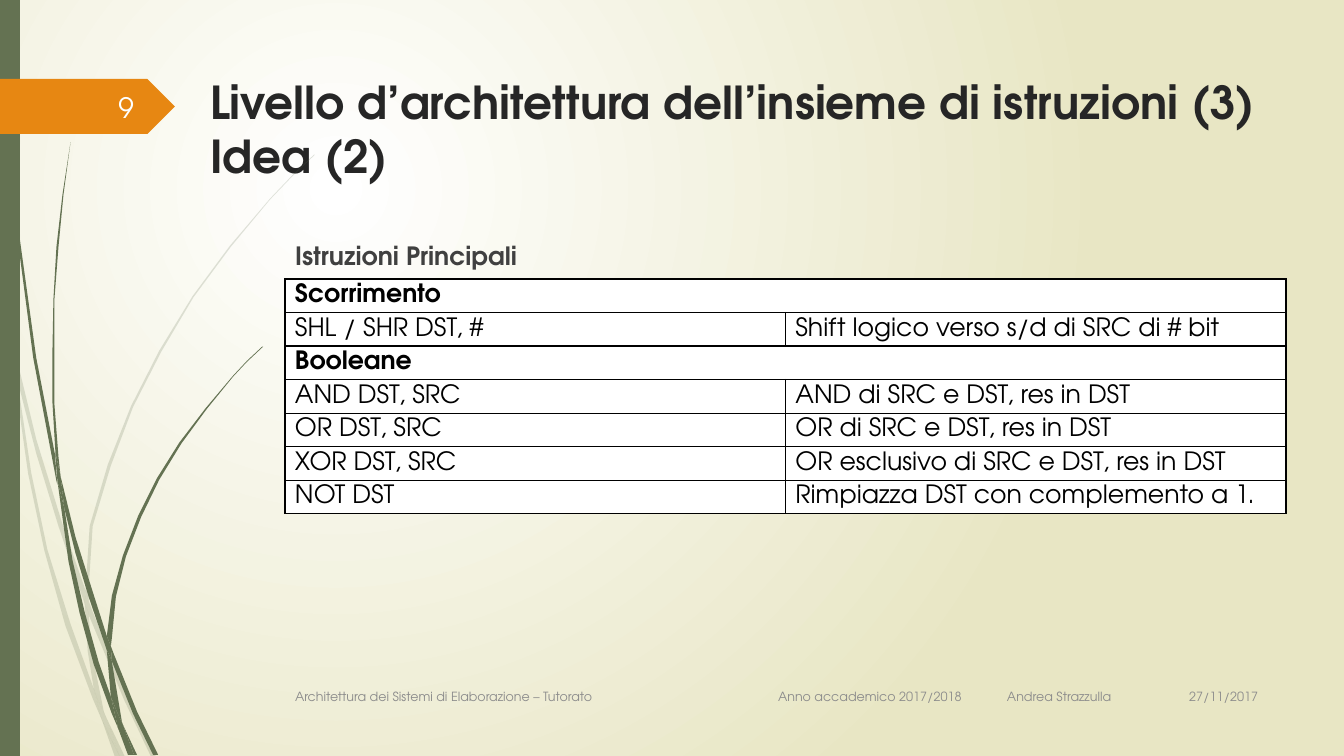
from lxml import etree
from pptx import Presentation
from pptx.dml.color import RGBColor
from pptx.enum.shapes import MSO_SHAPE
from pptx.enum.text import MSO_ANCHOR, MSO_AUTO_SIZE, PP_ALIGN
from pptx.oxml.ns import qn
from pptx.util import Pt

EMU_PER_INCH = 914400
PX_PER_INCH = 100.8
BLADE_UNIT = PX_PER_INCH / 100
FONT = "TeX Gyre Adventor"
GREEN, ORANGE, GREY = "647252", "E78712", "8C8C8C"
RECTANGLE, PENTAGON = MSO_SHAPE.RECTANGLE, MSO_SHAPE.PENTAGON
TOP, MIDDLE = MSO_ANCHOR.TOP, MSO_ANCHOR.MIDDLE
LEFT, RIGHT = PP_ALIGN.LEFT, PP_ALIGN.RIGHT
NO_AUTOSIZE = MSO_AUTO_SIZE.NONE

PALE_BLADES = [
    [(11, 350), (9, 322), (0, 282), (0, 299), (10, 344)],
    [(58, 522), (84, 599), (85, 586), (62, 520), (36, 436), (14, 345), (17, 376), (36, 450)],
    [(92, 607), (88, 596), (88, 610), (123, 694), (150, 751), (155, 751), (127, 692)],
    [(119, 751), (124, 751), (105, 711)],
    [(93, 683), (70, 619), (47, 545), (31, 469), (17, 376), (11, 350), (28, 470),
     (44, 546), (65, 621), (92, 693), (101, 714), (99, 707)],
    [(84, 599), (87, 646), (93, 683), (96, 692), (105, 711), (103, 706), (91, 646),
     (88, 610), (88, 608)],
    [(88, 584), (92, 522), (110, 462), (132, 404), (160, 349), (192, 295), (229, 245),
     (268, 198), (290, 175), (312, 154), (312, 153), (289, 175), (268, 197), (228, 244),
     (191, 294), (158, 348), (130, 403), (107, 461), (89, 522), (85, 584), (85, 586),
     (88, 596)],
    [(101, 714), (114, 751), (119, 751)],
    [(88, 608), (88, 610), (88, 596), (85, 586), (84, 599)],
    [(96, 692), (93, 683), (99, 707), (101, 714), (119, 751), (105, 711)],
]
DARK_BLADES = [
    [(7, 110), (17, 233), (33, 355), (56, 477), (57, 481), (55, 457), (55, 453),
     (36, 355), (19, 232), (8, 109), (5, 48), (4, 0), (3, 0), (4, 48)],
    [(88, 592), (106, 645), (106, 633), (106, 631), (93, 590), (75, 533), (60, 472),
     (64, 505), (75, 549)],
    [(113, 649), (110, 641), (111, 656), (132, 708), (152, 749), (157, 749), (136, 706)],
    [(110, 691), (98, 657), (84, 607), (72, 556), (64, 505), (57, 477), (68, 557),
     (79, 608), (93, 659), (111, 708), (117, 722), (116, 717)],
    [(60, 472), (58, 453), (54, 401), (54, 349), (54, 297), (58, 245), (63, 193),
     (70, 141), (62, 193), (56, 245), (53, 297), (52, 349), (52, 399), (55, 449)],
    [(133, 749), (136, 749), (122, 719)],
    [(57, 477), (64, 505), (60, 472), (55, 449), (55, 453)],
    [(111, 633), (115, 592), (125, 552), (140, 513), (158, 476), (180, 440), (205, 406),
     (231, 374), (245, 359), (261, 344), (260, 344), (245, 358), (231, 373), (204, 405),
     (178, 439), (156, 474), (137, 512), (122, 551), (111, 591), (106, 631), (110, 641)],
    [(117, 722), (127, 749), (131, 749)],
    [(106, 645), (110, 691), (116, 706), (122, 719), (121, 716), (111, 656), (109, 651)],
    [(106, 645), (109, 651), (111, 656), (110, 641), (106, 631), (106, 633)],
    [(116, 706), (110, 691), (116, 717), (117, 722), (130, 749), (133, 749), (122, 719)],
]
INSTRUCTIONS = [
    ("Scorrimento", None),
    ("SHL / SHR DST, #", "Shift logico verso s/d di SRC di # bit"),
    ("Booleane", None),
    ("AND DST, SRC", "AND di SRC e DST, res in DST"),
    ("OR DST, SRC", "OR di SRC e DST, res in DST"),
    ("XOR DST, SRC", "OR esclusivo di SRC e DST, res in DST"),
    ("NOT DST", "Rimpiazza DST con complemento a 1."),
]


def px(length):
    return round(length * EMU_PER_INCH / PX_PER_INCH)


def color(hex_value):
    return RGBColor.from_string(hex_value)


def add_xml(parent, tag, **attributes):
    return etree.SubElement(parent, qn(tag), attributes)


def paint(shape, fill, opacity=None):
    shape.shadow.inherit = False
    shape.fill.solid()
    shape.fill.fore_color.rgb = color(fill)
    shape.line.fill.background()
    if opacity:
        tint = shape.element.spPr.find(".//" + qn("a:srgbClr"))
        add_xml(tint, "a:alpha", val=str(opacity * 1000))


def add_run(paragraph, text, size, ink, bold=False):
    run = paragraph.add_run()
    run.text = text
    run.font.name = FONT
    run.font.size = Pt(size)
    run.font.bold = bold
    run.font.color.rgb = color(ink)


def place(shape, box):
    shape.left, shape.top, shape.width, shape.height = map(px, box)


def prepare_frame(shape, anchor, align=LEFT):
    frame = shape.text_frame
    frame.word_wrap = True
    frame.auto_size = NO_AUTOSIZE
    frame.vertical_anchor = anchor
    frame.margin_left = frame.margin_right = px(10)
    frame.margin_top = frame.margin_bottom = px(5)
    paragraph = frame.paragraphs[0]
    paragraph.alignment = align
    return paragraph


def add_label(slide, box, text, size, ink, align=LEFT, tabs=()):
    label = slide.shapes.add_textbox(*map(px, box))
    paragraph = prepare_frame(label, MIDDLE, align)
    if tabs:
        tab_list = add_xml(paragraph._p.get_or_add_pPr(), "a:tabLst")
        for position in tabs:
            add_xml(tab_list, "a:tab", pos=str(px(position)), algn="l")
    add_run(paragraph, text, size, ink)


def paint_background(slide):
    fill = slide.background.fill
    fill.gradient()
    for stop, shade in zip(fill.gradient_stops, ("FFFFFF", "E8E6C4")):
        stop.color.rgb = color(shade)
    gradient = slide.element.find(".//" + qn("a:gradFill"))
    gradient.remove(gradient.find(qn("a:lin")))
    circle = add_xml(gradient, "a:path", path="circle")
    add_xml(circle, "a:fillToRect", l="50000", t="50000", r="100000", b="100000")


def draw_grass(slide, origin, blades, opacity=None):
    left, top = origin
    tuft = slide.shapes.add_group_shape()
    for outline in blades:
        points = [(px(left + x * BLADE_UNIT), px(top + y * BLADE_UNIT)) for x, y in outline]
        builder = tuft.shapes.build_freeform(*points[0])
        builder.add_line_segments(points[1:], close=True)
        paint(builder.convert_to_shape(), GREEN, opacity)


def draw_side_decoration(slide, box):
    origin = box[:2]
    draw_grass(slide, origin, PALE_BLADES, opacity=20)
    draw_grass(slide, origin, DARK_BLADES)
    paint(slide.shapes.add_shape(RECTANGLE, *map(px, box)), GREEN)


def draw_page_marker(slide, box):
    left, top, width, height = box
    paint(slide.shapes.add_shape(PENTAGON, *map(px, box)), ORANGE)
    add_label(slide, (left + 58, top + 8, 86, 40), "9", 20, "FEFFFF", RIGHT)


def fill_title(slide, box):
    title = slide.shapes.title
    place(title, box)
    paragraph = prepare_frame(title, TOP)
    add_run(paragraph, "Livello d’architettura dell’insieme di istruzioni (3)", 32.4, "262626", True)
    paragraph.add_line_break()
    add_run(paragraph, "Idea (2)", 32.4, "262626", True)


def fill_subtitle(slide, box):
    body = slide.placeholders[1]
    place(body, box)
    paragraph = prepare_frame(body, TOP)
    paragraph.space_before = Pt(0)
    properties = paragraph._p.get_or_add_pPr()
    properties.set("marL", "0")
    properties.set("indent", "0")
    add_xml(properties, "a:buNone")
    add_run(paragraph, "Istruzioni Principali", 18, "404040", True)


def format_cell(cell):
    properties = cell._tc.get_or_add_tcPr()
    for side in ("a:lnL", "a:lnR", "a:lnT", "a:lnB"):
        border = add_xml(properties, side, w=str(Pt(1)))
        add_xml(add_xml(border, "a:solidFill"), "a:srgbClr", val="000000")
    cell.fill.solid()
    cell.fill.fore_color.rgb = color("FFFFFF")
    cell.margin_left = cell.margin_right = px(10)
    cell.margin_top = cell.margin_bottom = px(5)


def add_instruction_table(slide, box):
    height = box[3]
    table = slide.shapes.add_table(len(INSTRUCTIONS), 2, *map(px, box)).table
    table.first_row = table.horz_banding = False
    for row, texts in enumerate(INSTRUCTIONS):
        table.rows[row].height = px(height / len(INSTRUCTIONS))
        is_heading = texts[1] is None
        for column, text in enumerate(texts):
            cell = table.cell(row, column)
            format_cell(cell)
            if text:
                add_run(cell.text_frame.paragraphs[0], text, 18, "000000", is_heading)
        if is_heading:
            table.cell(row, 0).merge(table.cell(row, 1))


def add_footer(slide, box):
    left, top, width, height = box
    course = "Architettura dei Sistemi di Elaborazione – Tutorato\tAnno accademico 2017/2018\tAndrea Strazzulla"
    add_label(slide, (left, top, 840, height), course, 9, GREY, tabs=(483, 712))
    add_label(slide, (left + width - 126, top, 126, height), "27/11/2017", 9, GREY, RIGHT)


def main():
    deck = Presentation()
    deck.slide_width, deck.slide_height = px(1344), px(756)
    slide = deck.slides.add_slide(deck.slide_layouts[1])
    paint_background(slide)
    draw_side_decoration(slide, (0, 0, 20, 756))
    draw_page_marker(slide, (0, 79, 175, 55))
    fill_title(slide, (200, 69, 1067, 141))
    fill_subtitle(slide, (285, 235, 983, 40))
    add_instruction_table(slide, (285, 279, 1001, 235))
    add_footer(slide, (285, 677, 983, 40))
    deck.save("out.pptx")


if __name__ == "__main__":
    main()
